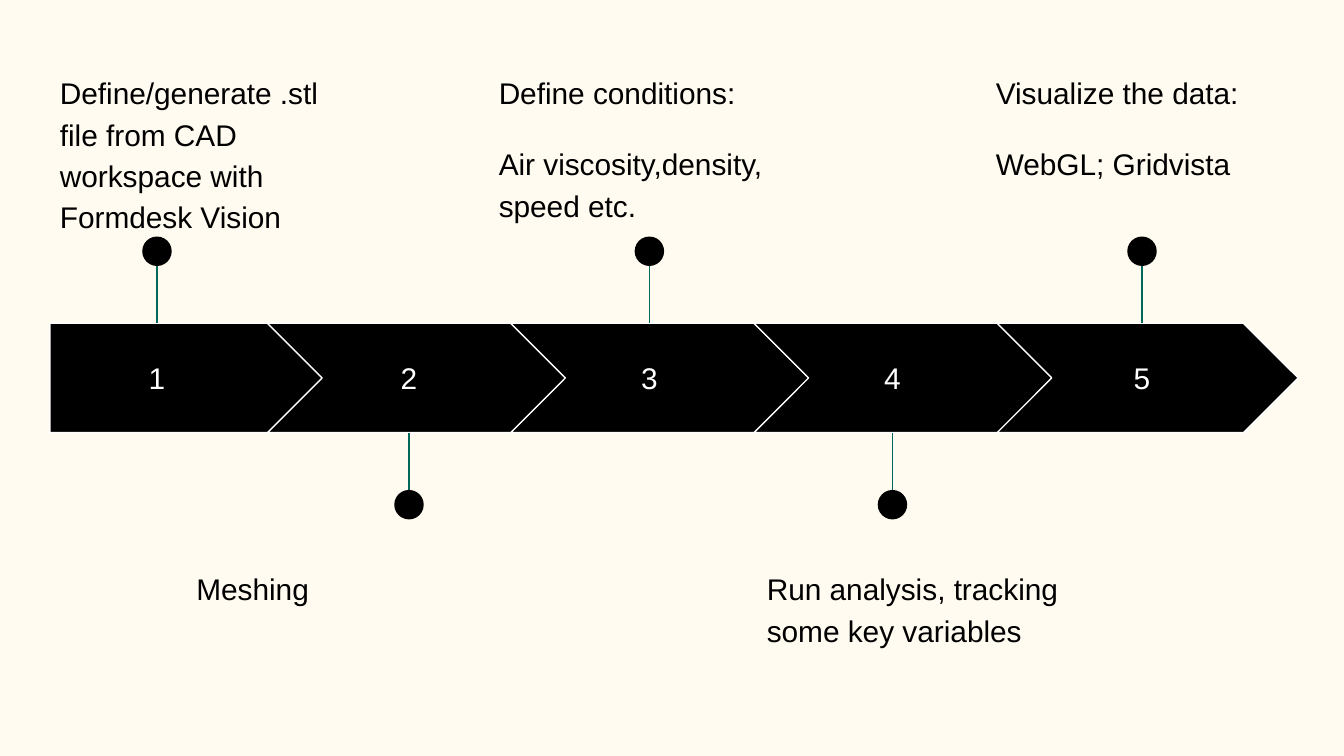
from dataclasses import dataclass

from lxml.etree import SubElement
from pptx import Presentation
from pptx.dml.color import RGBColor
from pptx.enum.shapes import MSO_CONNECTOR, MSO_SHAPE
from pptx.enum.text import MSO_ANCHOR, PP_ALIGN
from pptx.oxml.ns import qn
from pptx.util import Pt

BLACK = "000000"
WHITE = "FFFFFF"
CREAM = "FFFBF0"
TEAL = "00695C"

BAND_TOP = 173.2
BAND_HEIGHT = 58.6
BAND_MIDDLE = BAND_TOP + BAND_HEIGHT / 2
BAND_LEFT = 26.8
CHEVRON_LEFT = 143.3
CHEVRON_WIDTH = 161.3
CHEVRON_STEP = 130.3
DOT_SIZE = 15.8
PIN_REACH = 75.8
NUMBER_HEIGHT = 36.7
CAPTION_WIDTH = 176.4
CAPTION_HEIGHT = 71.3
CAPTION_TOP_ABOVE = 30.2
CAPTION_TOP_BELOW = 295.9


@dataclass(frozen=True)
class Step:
    number: int
    pin_x: float
    caption_left: float
    caption: tuple[str, ...]
    number_width: float = 103.7

    @property
    def is_above(self) -> bool:
        return self.number % 2 == 1


STEPS = (
    Step(1, 84.1, 25, ("Define/generate .stl file from CAD workspace with Formdesk Vision",), 114.5),
    Step(2, 219.1, 98.1, ("Meshing",)),
    Step(3, 347.9, 260.1, ("Define conditions:", "Air viscosity,density, speed etc.")),
    Step(4, 478.1, 403.7, ("Run analysis, tracking some key variables",)),
    Step(5, 611.8, 526.4, ("Visualize the data:", "WebGL; Gridvista")),
)


def color(value: str) -> RGBColor:
    return RGBColor.from_string(value)


def draw_arrow(slide, step: Step) -> None:
    if step.number == 1:
        preset, left, width = MSO_SHAPE.PENTAGON, BAND_LEFT, 147.6
    else:
        preset = MSO_SHAPE.CHEVRON
        left = CHEVRON_LEFT + (step.number - 2) * CHEVRON_STEP
        width = CHEVRON_WIDTH
    arrow = slide.shapes.add_shape(preset, Pt(left), Pt(BAND_TOP), Pt(width), Pt(BAND_HEIGHT))
    arrow.shadow.inherit = False
    arrow.fill.solid()
    arrow.fill.fore_color.rgb = color(BLACK)
    arrow.line.color.rgb = color(WHITE)
    arrow.line.width = Pt(0.75)


def draw_text(slide, left: float, top: float, width: float, height: float,
              paragraphs: tuple[str, ...], font_color: str):
    frame = slide.shapes.add_textbox(Pt(left), Pt(top), Pt(width), Pt(height)).text_frame
    frame.word_wrap = True
    frame.margin_left = frame.margin_right = Pt(7.2)
    frame.margin_top = frame.margin_bottom = Pt(7.2)
    frame.text = "\n".join(paragraphs)
    for paragraph in frame.paragraphs:
        for run in paragraph.runs:
            run.font.name = "Arial"
            run.font.size = Pt(16)
            run.font.color.rgb = color(font_color)
    return frame


def draw_number(slide, step: Step) -> None:
    frame = draw_text(slide, step.pin_x - step.number_width / 2, BAND_MIDDLE - NUMBER_HEIGHT / 2,
                      step.number_width, NUMBER_HEIGHT, (str(step.number),), WHITE)
    frame.vertical_anchor = MSO_ANCHOR.MIDDLE
    frame.paragraphs[0].alignment = PP_ALIGN.CENTER


def draw_pin(slide, step: Step) -> None:
    direction = -1 if step.is_above else 1
    dot_middle = BAND_MIDDLE + direction * (PIN_REACH - DOT_SIZE / 2)
    band_edge = BAND_MIDDLE + direction * BAND_HEIGHT / 2
    pin = slide.shapes.add_group_shape()
    stem = pin.shapes.add_connector(
        MSO_CONNECTOR.STRAIGHT, Pt(step.pin_x), Pt(dot_middle), Pt(step.pin_x), Pt(band_edge))
    stem.line.color.rgb = color(TEAL)
    stem.line.width = Pt(0.75)
    SubElement(stem._element.spPr, qn("a:effectLst"))
    dot = pin.shapes.add_shape(
        MSO_SHAPE.OVAL, Pt(step.pin_x - DOT_SIZE / 2), Pt(dot_middle - DOT_SIZE / 2),
        Pt(DOT_SIZE), Pt(DOT_SIZE))
    dot.shadow.inherit = False
    dot.fill.solid()
    dot.fill.fore_color.rgb = color(BLACK)
    dot.line.fill.background()


def draw_caption(slide, step: Step) -> None:
    top = CAPTION_TOP_ABOVE if step.is_above else CAPTION_TOP_BELOW
    frame = draw_text(slide, step.caption_left, top, CAPTION_WIDTH, CAPTION_HEIGHT,
                      step.caption, BLACK)
    for paragraph in frame.paragraphs:
        paragraph.line_spacing = 1.15
    for paragraph in frame.paragraphs[1:]:
        paragraph.space_before = Pt(16)
    frame.paragraphs[-1].space_after = Pt(16)


def main() -> None:
    presentation = Presentation()
    presentation.slide_width = Pt(720)
    presentation.slide_height = Pt(405)
    slide = presentation.slides.add_slide(presentation.slide_layouts[6])
    slide.background.fill.solid()
    slide.background.fill.fore_color.rgb = color(CREAM)
    for step in STEPS:
        draw_arrow(slide, step)
        draw_number(slide, step)
        draw_pin(slide, step)
        draw_caption(slide, step)
    presentation.save("out.pptx")


if __name__ == "__main__":
    main()
